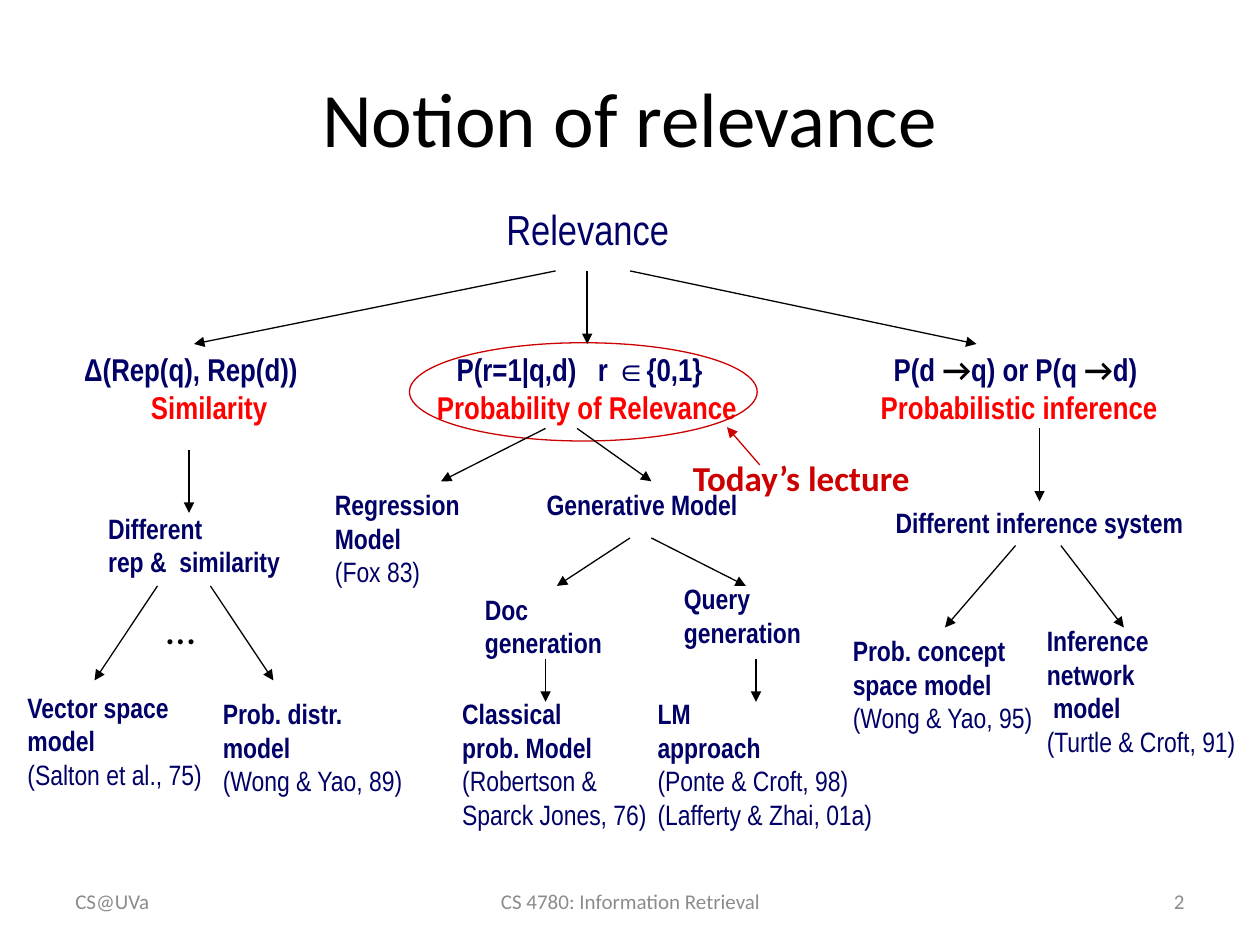
"""Build the slide that shows the family tree of relevance models."""
from dataclasses import dataclass
from itertools import groupby

from lxml.etree import SubElement
from pptx import Presentation
from pptx.dml.color import RGBColor
from pptx.enum.shapes import MSO_CONNECTOR, MSO_SHAPE
from pptx.enum.text import MSO_ANCHOR, MSO_AUTO_SIZE, PP_ALIGN
from pptx.oxml.ns import qn
from pptx.slide import Slide
from pptx.util import Inches, Pt

NAVY, RED, DARK_RED, BLACK, GRAY = "000066", "FF0000", "CC0000", "000000", "8C8C8C"
NARROW, CALIBRI = "Arial Narrow", "Calibri"
LEFT, CENTER, RIGHT = PP_ALIGN.LEFT, PP_ALIGN.CENTER, PP_ALIGN.RIGHT


@dataclass(frozen=True)
class Line:
    text: str
    size: int = 16
    color: str = NAVY
    bold: bool = False
    font: str = NARROW
    indent: float = 0


@dataclass(frozen=True)
class Label:
    left: float
    top: float
    width: float
    height: float
    lines: tuple[Line, ...]
    align: PP_ALIGN = LEFT
    wrap: bool = False
    middle: bool = False


@dataclass(frozen=True)
class Arrow:
    start: tuple[float, float]
    end: tuple[float, float]
    color: str = BLACK


def rgb(color: str) -> RGBColor:
    return RGBColor.from_string(color)


def model(left: float, top: float, width: float, names: tuple[str, ...],
          citations: tuple[str, ...] = (), wrap: bool = False) -> Label:
    """Describe a tree node with bold names above plain citations."""
    lines = tuple(Line(name, bold=True) for name in names) + tuple(map(Line, citations))
    return Label(left, top, width, 0.1 + 0.27 * len(lines), lines, wrap=wrap)


def branch(left: float, width: float, formula: str, name: str,
           align: PP_ALIGN = CENTER, indent: float = 0) -> Label:
    """Describe a main branch with its formula above its red name."""
    lines = (Line(formula, 18, bold=True),
             Line(name, 18, RED, bold=True, indent=indent))
    return Label(left, 2.73, width, 0.7, lines, align, wrap=align == LEFT)


def footer(left: float, width: float, text: str, align: PP_ALIGN) -> Label:
    return Label(left, 6.95, width, 0.4, (Line(text, 12, GRAY, font=CALIBRI),),
                 align, wrap=True, middle=True)


def draw_label(slide: Slide, label: Label) -> None:
    shape = slide.shapes.add_textbox(Inches(label.left), Inches(label.top),
                                     Inches(label.width), Inches(label.height))
    frame = shape.text_frame
    frame.word_wrap = label.wrap
    if label.middle:
        frame.vertical_anchor = MSO_ANCHOR.MIDDLE
    else:
        frame.auto_size = MSO_AUTO_SIZE.SHAPE_TO_FIT_TEXT
    for index, line in enumerate(label.lines):
        paragraph = frame.add_paragraph() if index else frame.paragraphs[0]
        paragraph.alignment = label.align
        font = paragraph.font
        font.name, font.size, font.bold = line.font, Pt(line.size), line.bold
        font.color.rgb = rgb(line.color)
        if line.indent:
            paragraph._p.get_or_add_pPr().set("marL", str(Inches(line.indent)))
        for is_arrow, characters in groupby(line.text, lambda character: character == "→"):
            run = paragraph.add_run()
            run.text = "".join(characters)
            if is_arrow:
                run.font.name = CALIBRI
                run.font.color.rgb = rgb(BLACK)


def draw_arrow(slide: Slide, arrow: Arrow) -> None:
    connector = slide.shapes.add_connector(
        MSO_CONNECTOR.STRAIGHT, *map(Inches, arrow.start + arrow.end))
    connector.line.color.rgb = rgb(arrow.color)
    connector.line.width = Pt(0.75)
    SubElement(connector.line._get_or_add_ln(), qn("a:tailEnd"), type="triangle")
    SubElement(connector._element.spPr, qn("a:effectLst"))


def draw_highlight(slide: Slide) -> None:
    ellipse = slide.shapes.add_shape(MSO_SHAPE.OVAL, Inches(3.25), Inches(2.72),
                                     Inches(2.76), Inches(0.78))
    ellipse.shadow.inherit = False
    ellipse.fill.background()
    ellipse.line.color.rgb = rgb(DARK_RED)
    ellipse.line.width = Pt(0.75)


LABELS = (
    Label(0.5, 0.3, 9, 1.25, (Line("Notion of relevance", 44, BLACK, font=CALIBRI),),
          CENTER, wrap=True, middle=True),
    Label(3.92, 1.57, 1.5, 0.5, (Line("Relevance", 24),)),
    branch(0.57, 2.13, "Δ(Rep(q), Rep(d))", "Similarity", LEFT, 0.53),
    branch(3.31, 2.64, "P(r=1|q,d)   r ∈{0,1} ", " Probability of Relevance"),
    branch(6.83, 2.46, "P(d →q) or P(q →d)", " Probabilistic inference"),
    model(0.76, 4.01, 1.62, ("Different", "rep &  similarity"), wrap=True),
    model(0.12, 5.43, 1.64, ("Vector space", "model"), ("(Salton et al., 75)",), wrap=True),
    model(1.67, 5.48, 1.64, ("Prob. distr.", "model"), ("(Wong & Yao, 89)",)),
    Label(1.22, 4.73, 0.53, 0.5, (Line("…", 24, BLACK, font=CALIBRI),)),
    model(2.56, 3.82, 1.19, ("Regression", "Model"), ("(Fox 83)",)),
    model(4.24, 3.82, 1.77, ("Generative Model",), wrap=True),
    model(3.75, 4.65, 1.13, ("Doc", "generation")),
    model(5.33, 4.57, 1.13, ("Query", "generation")),
    model(3.57, 5.48, 1.67, ("Classical", "prob. Model"),
          ("(Robertson &", "Sparck Jones, 76)")),
    model(5.12, 5.48, 1.91, ("LM", "approach"),
          ("(Ponte & Croft, 98)", "(Lafferty & Zhai, 01a)")),
    model(7.01, 3.96, 2.64, ("Different inference system",), wrap=True),
    model(6.67, 4.98, 1.64, ("Prob. concept", "space model"), ("(Wong & Yao, 95)",)),
    model(8.21, 4.9, 1.7, ("Inference", "network", " model"), ("(Turtle & Croft, 91)",)),
    Label(5.4, 3.57, 2.04, 0.43,
          (Line("Today’s lecture", 20, DARK_RED, bold=True, font=CALIBRI),)),
    footer(0.5, 2.33, "CS@UVa", LEFT),
    footer(3.42, 3.17, "CS 4780: Information Retrieval", CENTER),
    footer(7.17, 2.33, "2", RIGHT),
)

ARROWS = (
    Arrow((4.41, 2.15), (1.54, 2.73)),
    Arrow((4.66, 2.15), (4.66, 2.73)),
    Arrow((5, 2.15), (7.75, 2.73)),
    Arrow((1.5, 3.57), (1.5, 4.07)),
    Arrow((1.25, 4.65), (0.75, 5.4)),
    Arrow((1.67, 4.65), (2.17, 5.4)),
    Arrow((4.33, 3.4), (3.5, 3.82)),
    Arrow((4.58, 3.4), (5.17, 3.82)),
    Arrow((5, 4.27), (4.42, 4.65)),
    Arrow((5.17, 4.27), (5.92, 4.65)),
    Arrow((4.33, 5.23), (4.33, 5.57)),
    Arrow((6, 5.23), (6, 5.57)),
    Arrow((8.25, 3.4), (8.25, 3.98)),
    Arrow((8.06, 4.33), (7.5, 4.98)),
    Arrow((8.42, 4.33), (8.92, 4.98)),
    Arrow((6.03, 3.69), (5.77, 3.39), DARK_RED),
)


def main() -> None:
    presentation = Presentation()
    presentation.slide_width, presentation.slide_height = Inches(10), Inches(7.5)
    slide = presentation.slides.add_slide(presentation.slide_layouts[6])
    for label in LABELS:
        draw_label(slide, label)
    draw_highlight(slide)
    for arrow in ARROWS:
        draw_arrow(slide, arrow)
    presentation.save("out.pptx")


if __name__ == "__main__":
    main()
